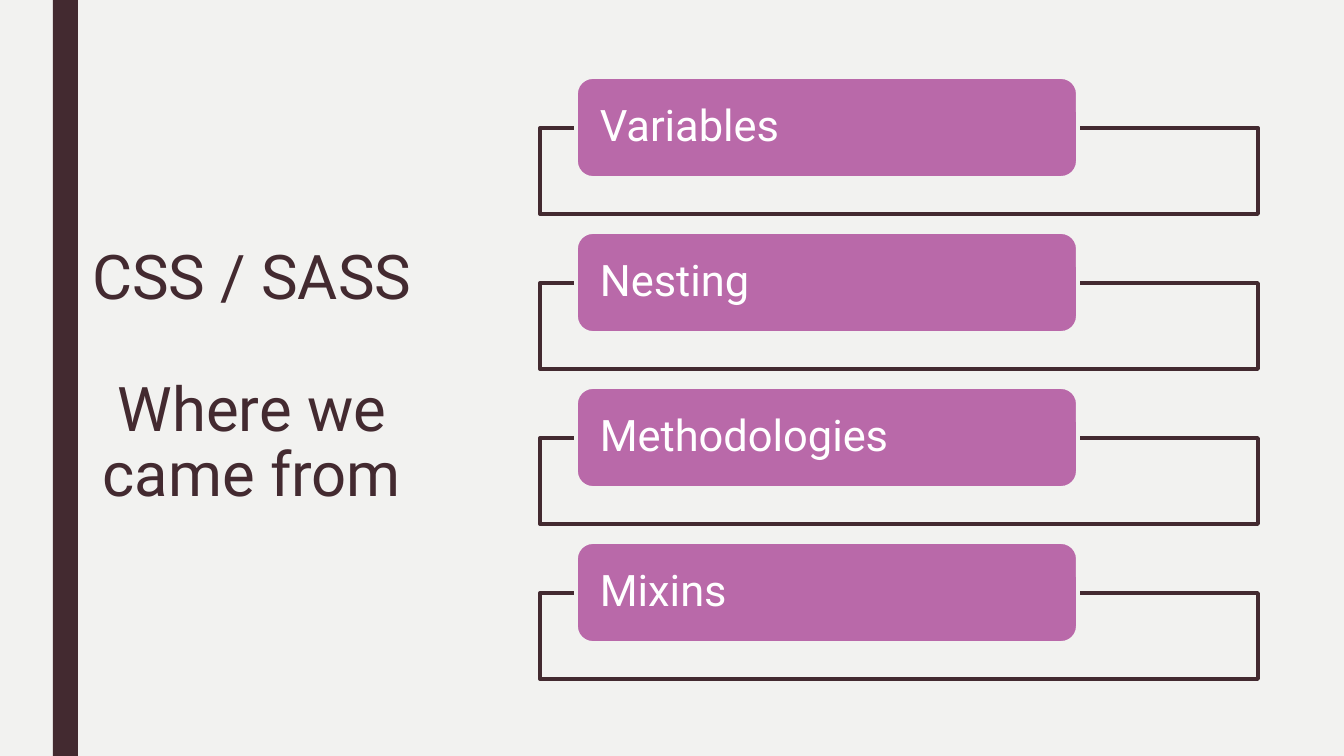
from pptx import Presentation
from pptx.dml.color import RGBColor
from pptx.enum.shapes import MSO_SHAPE
from pptx.enum.text import MSO_ANCHOR, PP_ALIGN
from pptx.util import Pt

RECTANGLE, ROUNDED = MSO_SHAPE.RECTANGLE, MSO_SHAPE.ROUNDED_RECTANGLE
MIDDLE = MSO_ANCHOR.MIDDLE
LEFT, CENTER = PP_ALIGN.LEFT, PP_ALIGN.CENTER

# Content
TITLE_LINES = ["CSS / SASS", "", "Where we came from"]
TOPICS = ["Variables", "Nesting", "Methodologies", "Mixins"]

# Style
COLORS = {"background": "F2F2F0", "dark": "432A30", "accent": "B969A9", "white": "FFFFFF"}
FONT = "Roboto"
LINE_WIDTH = 2.75

# Layout in pixels: left, top, width, height
SCALE = 914400 / 100.8
SLIDE_WIDTH, SLIDE_HEIGHT = 1344, 756
SIDE_BAR = (53, 0, 25, SLIDE_HEIGHT)
TITLE_BOX = (70, 71, 364, 615)
FIRST_FRAME = (540, 128, 718, 86)
FIRST_LABEL = (576, 77, 502, 101)
TOPIC_PITCH = 155
TITLE_INSET, LABEL_INSET = 10, 19


def emu(pixels):
    return round(pixels * SCALE)


def color(name):
    return RGBColor.from_string(COLORS[name])


def add_box(kind, box, fill, line=None):
    shape = slide.shapes.add_shape(kind, *map(emu, box))
    shape.shadow.inherit = False
    shape.fill.solid()
    shape.fill.fore_color.rgb = color(fill)
    if line:
        shape.line.color.rgb = color(line)
        shape.line.width = Pt(LINE_WIDTH)
    else:
        shape.line.fill.background()
    return shape


def write(shape, lines, size, font_color, align, spacing, inset, space_after=0):
    frame = shape.text_frame
    frame.word_wrap = True
    frame.vertical_anchor = MIDDLE
    frame.margin_left = frame.margin_right = emu(inset)
    frame.margin_top = frame.margin_bottom = 0
    paragraph = frame.paragraphs[0]
    paragraph.alignment = align
    paragraph.line_spacing = spacing
    paragraph.space_after = Pt(space_after)
    paragraph.font.size = Pt(size)
    for index, line in enumerate(lines):
        if index:
            paragraph.add_line_break()
        if line:
            run = paragraph.add_run()
            run.text = line
            run.font.name = FONT
            run.font.size = Pt(size)
            run.font.color.rgb = color(font_color)


presentation = Presentation()
presentation.slide_width = emu(SLIDE_WIDTH)
presentation.slide_height = emu(SLIDE_HEIGHT)
slide = presentation.slides.add_slide(presentation.slide_layouts[6])
slide.background.fill.solid()
slide.background.fill.fore_color.rgb = color("background")

# Side bar and title
add_box(RECTANGLE, SIDE_BAR, "dark")
title = slide.shapes.add_textbox(*map(emu, TITLE_BOX))
write(title, TITLE_LINES, 44, "dark", CENTER, 0.89, TITLE_INSET)

# Topics: an outlined frame with a label over its top edge
for index, topic in enumerate(TOPICS):
    offset = index * TOPIC_PITCH
    frame_box, label_box = (
        (left, top + offset, width, height)
        for left, top, width, height in (FIRST_FRAME, FIRST_LABEL)
    )
    add_box(RECTANGLE, frame_box, "background", "dark")
    label = add_box(ROUNDED, label_box, "accent", "background")
    write(label, [topic], 31, "white", LEFT, 0.9, LABEL_INSET, space_after=11)

presentation.save("out.pptx")
